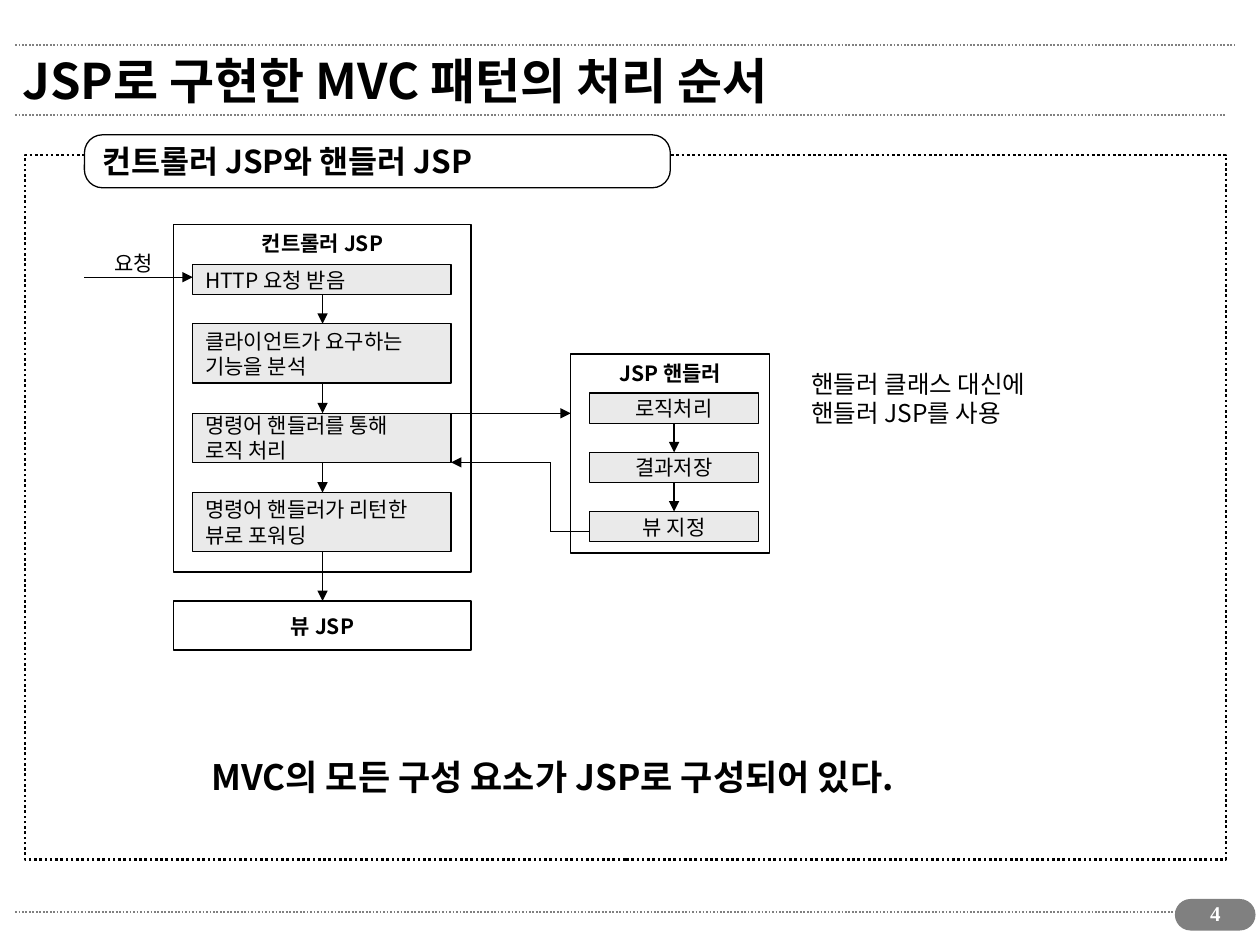
from pptx import Presentation
from pptx.dml.color import RGBColor
from pptx.enum.dml import MSO_LINE
from pptx.enum.shapes import MSO_CONNECTOR, MSO_SHAPE
from pptx.enum.text import MSO_ANCHOR, PP_ALIGN
from pptx.oxml.ns import qn
from pptx.util import Inches, Pt
from lxml.etree import SubElement

FONT = "Noto Sans CJK KR"
LEFT, CENTER = PP_ALIGN.LEFT, PP_ALIGN.CENTER
TOP, MIDDLE = MSO_ANCHOR.TOP, MSO_ANCHOR.MIDDLE
RECT, ROUND = MSO_SHAPE.RECTANGLE, MSO_SHAPE.ROUNDED_RECTANGLE
color = RGBColor.from_string


def write(shape, lines, size=12, bold=False, align=LEFT, anchor=MIDDLE,
          inset=0.1, ink="000000", face=FONT):
    frame = shape.text_frame
    frame.word_wrap = True
    frame.vertical_anchor = anchor
    frame.margin_left = frame.margin_right = Inches(inset)
    for index, line in enumerate(lines):
        para = frame.add_paragraph() if index else frame.paragraphs[0]
        para.alignment = align
        span = para.add_run()
        span.text = line
        span.font.size = Pt(size)
        span.font.bold = bold
        span.font.name = face
        span.font.color.rgb = color(ink)
        SubElement(span.font._element, qn("a:ea"), typeface=face)


def connect(x1, y1, x2, y2, arrow=True, ink="000000", width=0.75):
    line = slide.shapes.add_connector(
        MSO_CONNECTOR.STRAIGHT, Inches(x1), Inches(y1), Inches(x2), Inches(y2))
    line.line.color.rgb = color(ink)
    line.line.width = Pt(width)
    if arrow:
        SubElement(line.line._get_or_add_ln(), qn("a:tailEnd"), type="triangle")
    SubElement(line._element.spPr, qn("a:effectLst"))
    return line


deck = Presentation()
deck.slide_width, deck.slide_height = Inches(10), Inches(7.5)
slide = deck.slides.add_slide(deck.slide_layouts[5])

for y, right in ((7.24, 9.73), (0.91, 9.72), (0.36, 9.8)):
    rule = connect(0.12, y, right, y, arrow=False, ink="808080", width=1)
    rule.line.dash_style = MSO_LINE.ROUND_DOT

title = slide.shapes.title
title.left, title.top = Inches(0.08), Inches(0.28)
title.width, title.height = Inches(9.1), Inches(0.71)
write(title, ["JSP로 구현한 MVC 패턴의 처리 순서"], size=28, bold=True)

bold_top = dict(bold=True, align=CENTER, anchor=TOP)
boxes = [
    (RECT, 0.2, 1.23, 9.53, 5.59, None, [], {}),
    (ROUND, 0.67, 1.07, 4.65, 0.42, "FFFFFF", ["컨트롤러 JSP와 핸들러 JSP"],
     dict(size=18, bold=True)),
    (RECT, 1.38, 1.78, 2.36, 2.76, "FFFFFF", ["컨트롤러 JSP"], bold_top),
    (RECT, 4.53, 2.81, 1.58, 1.58, "FFFFFF", ["JSP 핸들러"], bold_top),
    (RECT, 1.38, 4.77, 2.36, 0.39, "FFFFFF", ["뷰 JSP"],
     dict(bold=True, align=CENTER)),
    (ROUND, 9.33, 7.14, 0.63, 0.24, "808080", [], {}),
]
controller_steps = [
    (2.1, 0.24, ["HTTP 요청 받음"]),
    (2.57, 0.47, ["클라이언트가 요구하는", "기능을 분석"]),
    (3.28, 0.39, ["명령어 핸들러를 통해", "로직 처리"]),
    (3.91, 0.47, ["명령어 핸들러가 리턴한", "뷰로 포워딩"]),
]
for top, height, lines in controller_steps:
    boxes.append((RECT, 1.53, top, 2.05, height, "EAEAEA", lines, {}))
for index, step in enumerate(["로직처리", "결과저장", "뷰 지정"]):
    boxes.append((RECT, 4.68, 3.12 + 0.47 * index, 1.34, 0.24, "EAEAEA",
                  [step], dict(align=CENTER)))

for kind, left, top, width, height, fill, lines, style in boxes:
    box = slide.shapes.add_shape(
        kind, Inches(left), Inches(top), Inches(width), Inches(height))
    box.shadow.inherit = False
    box.line.color.rgb = color("000000")
    box.line.width = Pt(0.75)
    if fill:
        box.fill.solid()
        box.fill.fore_color.rgb = color(fill)
    else:
        box.fill.background()
        box.line.width = Pt(1.5)
        box.line.dash_style = MSO_LINE.ROUND_DOT
    if kind == ROUND:
        box.adjustments[0] = 0.34 if lines else 0.5
    if fill == "808080":
        box.line.color.rgb = color(fill)
    if lines:
        write(box, lines, **style)

for x, start, end in ((2.56, 2.34, 2.57), (2.56, 3.04, 3.28), (2.56, 3.67, 3.91),
                      (2.56, 4.38, 4.77), (5.35, 3.36, 3.59), (5.35, 3.83, 4.06)):
    connect(x, start, x, end)
connect(0.67, 2.2, 1.53, 2.2)
connect(3.58, 3.28, 4.53, 3.28)
connect(4.68, 4.22, 4.37, 4.22, arrow=False)
connect(4.37, 4.22, 4.37, 3.67, arrow=False)
connect(4.37, 3.67, 3.58, 3.67)

labels = [
    (0.81, 1.94, 0.5, 0.3, ["요청"], dict(align=CENTER, inset=0)),
    (6.34, 2.88, 1.98, 0.57, ["핸들러 클래스 대신에", "핸들러 JSP를 사용"], dict(size=14)),
    (1.58, 5.95, 5.89, 0.44, ["MVC의 모든 구성 요소가 JSP로 구성되어 있다."],
     dict(size=20, bold=True)),
    (9.37, 7.1, 0.55, 0.34, ["4"],
     dict(bold=True, align=CENTER, ink="FFFFFF", face="Times New Roman")),
]
for left, top, width, height, lines, style in labels:
    label = slide.shapes.add_textbox(
        Inches(left), Inches(top), Inches(width), Inches(height))
    write(label, lines, anchor=TOP, **style)

deck.save("out.pptx")
